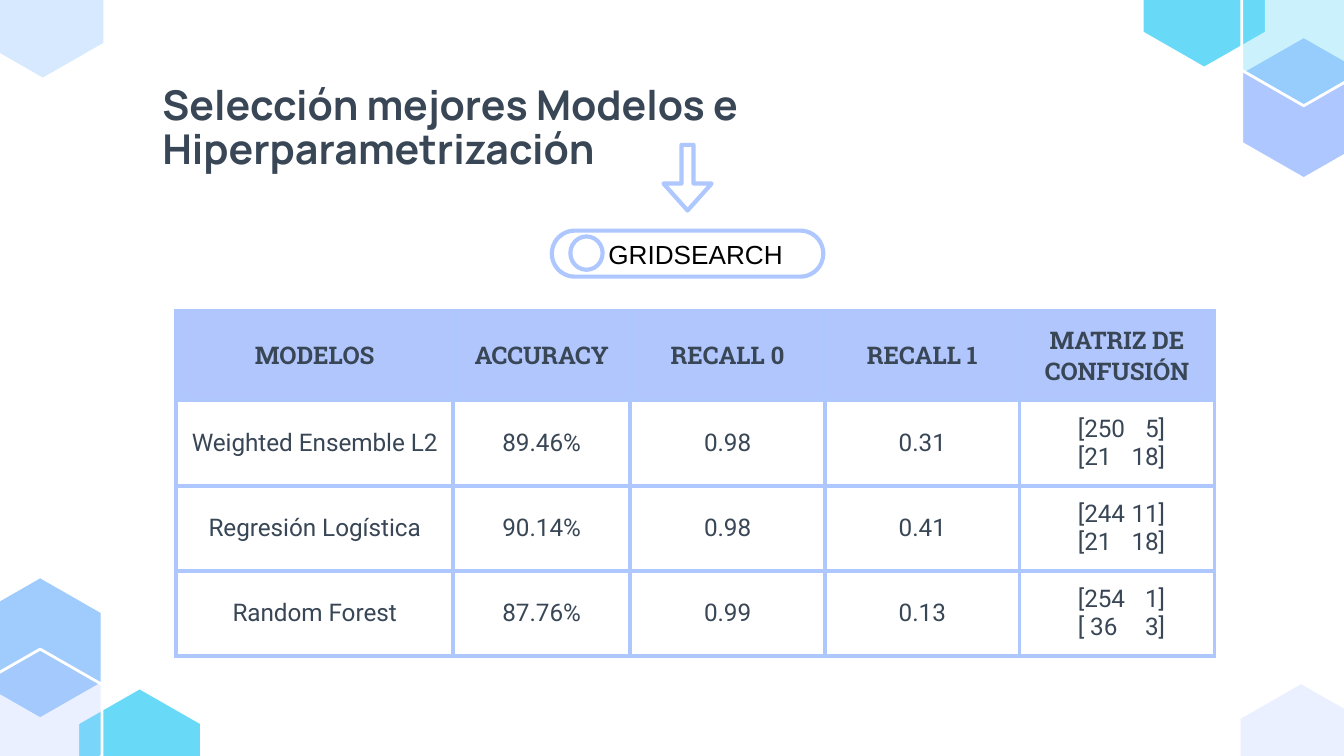
from lxml.etree import SubElement
from pptx import Presentation
from pptx.dml.color import RGBColor
from pptx.enum.shapes import MSO_SHAPE as Shape
from pptx.enum.text import MSO_ANCHOR as Anchor, MSO_AUTO_SIZE as AutoSize, PP_ALIGN as Align
from pptx.oxml.ns import qn
from pptx.util import Cm, Pt

INK = RGBColor(0x38, 0x46, 0x55)
BLACK = RGBColor(0, 0, 0)
WHITE = RGBColor(0xFF, 0xFF, 0xFF)
PERIWINKLE = RGBColor(0xAF, 0xC7, 0xFF)
HEADER_BLUE = RGBColor(0xB1, 0xC6, 0xFD)
SKY = RGBColor(0x9F, 0xCB, 0xFD)
CYAN = RGBColor(0x68, 0xDA, 0xF8)

TITLE = "Selección mejores Modelos e Hiperparametrización"
METHOD = "GRIDSEARCH"
HEADERS = ["MODELOS", "ACCURACY", "RECALL 0", "RECALL 1", "MATRIZ DE\nCONFUSIÓN"]
MODELS = [
    ["Weighted Ensemble L2", "89.46%", "0.98", "0.31", "[250\t5]\n[21\t18]"],
    ["Regresión Logística", "90.14%", "0.98", "0.41", "[244\t11]\n[21\t18]"],
    ["Random Forest", "87.76%", "0.99", "0.13", "[254\t1]\n[ 36\t3]"],
]
COLUMN_WIDTHS = [5.23, 3.35, 3.68, 3.68, 3.68]
ROW_HEIGHTS = [1.63, 1.61, 1.61, 1.61]
MATRIX_INDENT, MATRIX_TAB = 1.1, 1.65

HEXAGONS = [
    (1.47, 13.0, CYAN, 100),
    (-0.41, 10.9, SKY, 100),
    (-0.41, 12.27, PERIWINKLE, 25),
    (23.42, 12.9, PERIWINKLE, 25),
    (-0.36, -1.19, SKY, 41),
    (21.59, -1.4, CYAN, 100),
    (23.47, 0.69, PERIWINKLE, 100),
    (23.47, -0.69, CYAN, 34),
]
HEX_WIDTH, HEX_HEIGHT, HEX_SHOULDER = 2.34, 2.69, 0.67


def add_run(paragraph, text, font, size, color, bold=False):
    run = paragraph.add_run()
    run.text = text
    run.font.name = font
    run.font.size = Pt(size)
    run.font.bold = bold
    run.font.color.rgb = color


def add_hexagon(slide, left, top, color, opacity):
    low = HEX_HEIGHT - HEX_SHOULDER
    corners = [(HEX_WIDTH / 2, 0), (HEX_WIDTH, HEX_SHOULDER), (HEX_WIDTH, low),
               (HEX_WIDTH / 2, HEX_HEIGHT), (0, low), (0, HEX_SHOULDER)]
    points = [(Cm(left + x), Cm(top + y)) for x, y in corners]
    builder = slide.shapes.build_freeform(*points[0])
    builder.add_line_segments(points[1:], close=True)
    hexagon = builder.convert_to_shape()
    hexagon.shadow.inherit = False
    hexagon.fill.solid()
    hexagon.fill.fore_color.rgb = color
    hexagon.line.color.rgb = WHITE
    hexagon.line.width = Pt(1.5)
    if opacity < 100:
        tint = hexagon.fill._xPr.find(qn("a:solidFill"))[0]
        SubElement(tint, qn("a:alpha"), val=str(opacity * 1000))


def add_outline(slide, kind, left, top, width, height, adjustments=()):
    outline = slide.shapes.add_shape(kind, Cm(left), Cm(top), Cm(width), Cm(height))
    outline.shadow.inherit = False
    outline.fill.background()
    outline.line.color.rgb = PERIWINKLE
    outline.line.width = Pt(2.25)
    for index, value in enumerate(adjustments):
        outline.adjustments[index] = value
    return outline


def add_borders(cell):
    properties = cell._tc.get_or_add_tcPr()
    for side in ("lnL", "lnR", "lnT", "lnB"):
        border = SubElement(properties, qn(f"a:{side}"), w=str(Pt(2.25)))
        fill = SubElement(border, qn("a:solidFill"))
        SubElement(fill, qn("a:srgbClr"), val=str(PERIWINKLE))


def fill_cell(cell, text, is_header):
    add_borders(cell)
    cell.fill.solid()
    cell.fill.fore_color.rgb = HEADER_BLUE if is_header else WHITE
    cell.vertical_anchor = Anchor.MIDDLE
    cell.margin_left = cell.margin_right = cell.margin_top = cell.margin_bottom = Cm(0.25)
    is_matrix = "\t" in text
    if is_matrix:
        cell.margin_left = Cm(MATRIX_INDENT)
    for index, line in enumerate(text.split("\n")):
        frame = cell.text_frame
        paragraph = frame.add_paragraph() if index else frame.paragraphs[0]
        paragraph.alignment = Align.LEFT if is_matrix else Align.CENTER
        if is_matrix:
            tabs = SubElement(paragraph._p.get_or_add_pPr(), qn("a:tabLst"))
            SubElement(tabs, qn("a:tab"), pos=str(Cm(MATRIX_TAB)), algn="r")
        add_run(paragraph, line, "Roboto Slab" if is_header else "Roboto", 13, INK, is_header)


def add_results(slide):
    rows = [HEADERS, *MODELS]
    results = slide.shapes.add_table(
        len(rows), len(HEADERS), Cm(3.33), Cm(5.87),
        Cm(sum(COLUMN_WIDTHS)), Cm(sum(ROW_HEIGHTS))).table
    results.first_row = results.horz_banding = False
    for column, width in zip(results.columns, COLUMN_WIDTHS):
        column.width = Cm(width)
    for row, height in zip(results.rows, ROW_HEIGHTS):
        row.height = Cm(height)
    for r, row in enumerate(rows):
        for c, text in enumerate(row):
            fill_cell(results.cell(r, c), text, r == 0)


def add_heading(slide):
    heading = slide.shapes.title
    heading.left, heading.top, heading.width, heading.height = Cm(2.82), Cm(1.35), Cm(19.53), Cm(1.52)
    frame = heading.text_frame
    frame.auto_size = AutoSize.NONE
    frame.word_wrap = True
    frame.vertical_anchor = Anchor.TOP
    frame.margin_left = frame.margin_right = frame.margin_top = frame.margin_bottom = Cm(0.25)
    paragraph = frame.paragraphs[0]
    paragraph.alignment = Align.LEFT
    paragraph.line_spacing = 0.9
    paragraph.space_before = Pt(0)
    add_run(paragraph, TITLE, "Manrope", 22, INK, True)


def add_method(slide):
    add_outline(slide, Shape.DOWN_ARROW, 12.54, 2.74, 0.91, 1.24, (0.25, 0.56))
    pill = add_outline(slide, Shape.ROUNDED_RECTANGLE, 10.43, 4.36, 5.13, 0.87, (0.5,))
    frame = pill.text_frame
    frame.vertical_anchor = Anchor.MIDDLE
    frame.margin_left = Cm(0.94)
    frame.margin_right = frame.margin_top = frame.margin_bottom = 0
    paragraph = frame.paragraphs[0]
    paragraph.alignment = Align.LEFT
    add_run(paragraph, METHOD, "Arial", 14, BLACK)
    add_outline(slide, Shape.OVAL, 10.78, 4.47, 0.61, 0.63)


def main():
    deck = Presentation()
    deck.slide_width, deck.slide_height = Cm(25.4), Cm(14.29)
    slide = deck.slides.add_slide(deck.slide_layouts[5])
    for hexagon in HEXAGONS:
        add_hexagon(slide, *hexagon)
    add_heading(slide)
    add_method(slide)
    add_results(slide)
    deck.save("out.pptx")


if __name__ == "__main__":
    main()
